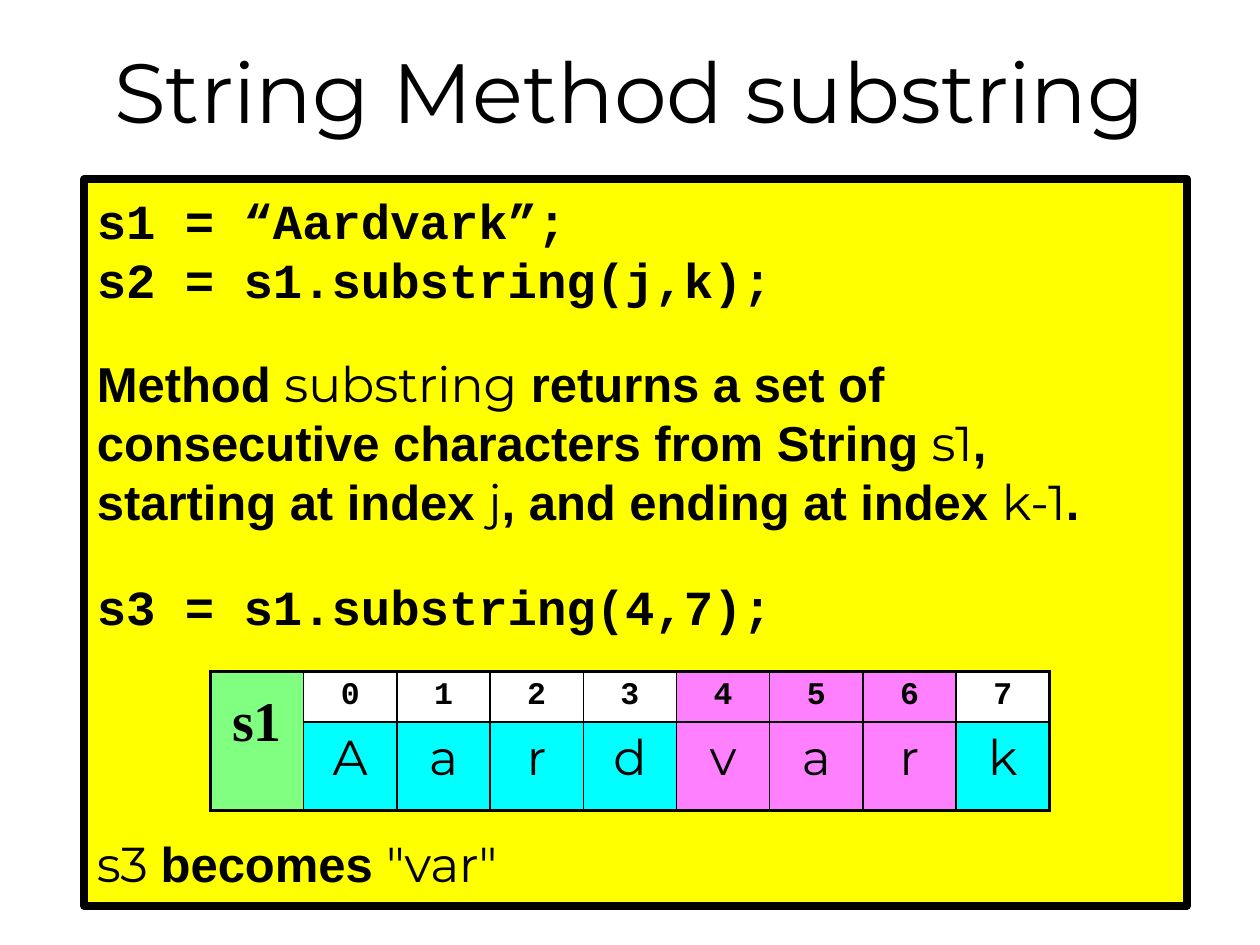
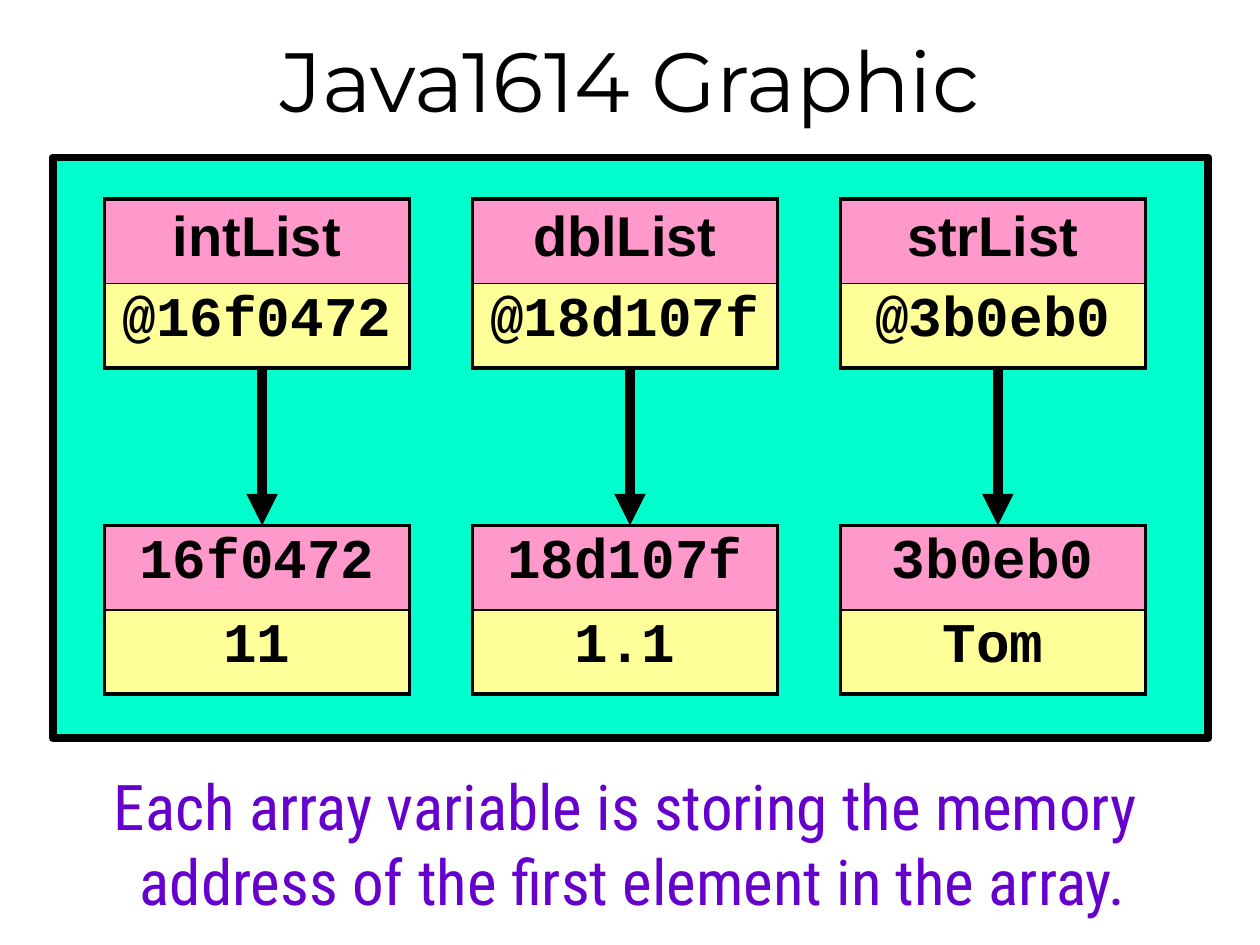
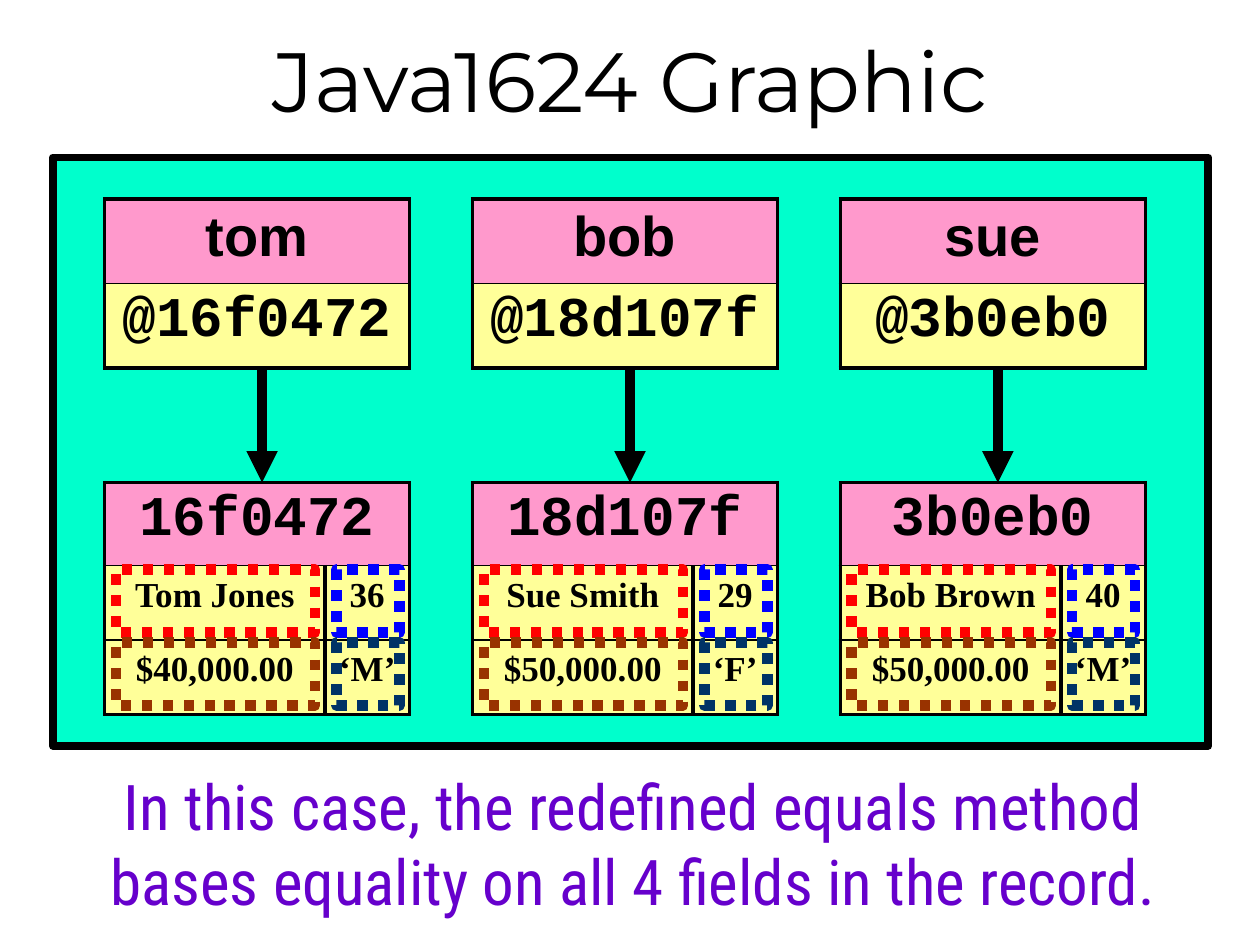
from dataclasses import dataclass

from lxml import etree
from pptx import Presentation
from pptx.dml.color import RGBColor
from pptx.enum import dml, shapes, text
from pptx.oxml.ns import qn
from pptx.util import Inches, Pt


@dataclass(frozen=True)
class Style:
    font: str
    size: float
    bold: bool = False
    spacing: float = 1.0


class Theme:
    black, white = "000000", "FFFFFF"
    yellow, green, cyan, magenta = "FFFF00", "80FF80", "00FFFF", "FF80FF"
    panel, header, value = "00FFCC", "FF99CC", "FFFF99"
    caption_top, caption_end, caption_edge = "6600CC", "CC00CC", "CC99FF"
    name_mark, age_mark, pay_mark, gender_mark = "FF0000", "0000FF", "993300", "003366"

    title = Style("Montserrat", 48)
    code = Style("Courier New", 28, True)
    prose = Style("Arial", 28, True)
    term = Style("Montserrat", 28)
    string_name = Style("Times New Roman", 32, True)
    index = Style("Courier New", 18, True)
    variable = Style("Arial", 32, True)
    address = Style("Courier New", 32, True)
    field = Style("Times New Roman", 20, True, 1.1)
    caption = Style("Roboto Condensed", 36)

    thin, outer, frame, heavy = 1, 2.25, 4.5, 6


COLUMN_LEFT, COLUMN_STEP, COLUMN_WIDTH = 0.83, 2.92, 2.42
ADDRESSES = ["16f0472", "18d107f", "3b0eb0"]


def rgb(value):
    return RGBColor.from_string(value)


def inches(*lengths):
    return [Inches(length) for length in lengths]


def add_run(para, words, style):
    span = para.add_run()
    span.text = words
    span.font.name = style.font
    span.font.size = Pt(style.size)
    span.font.bold = style.bold
    span.font.color.rgb = rgb(Theme.black)
    return span


def add_page(deck, title, height):
    page = deck.slides.add_slide(deck.slide_layouts[5])
    box = page.shapes.title
    box.left, box.top, box.width, box.height = inches(0, 0, 10, height)
    frame = box.text_frame
    frame.auto_size = text.MSO_AUTO_SIZE.NONE
    frame.vertical_anchor = text.MSO_ANCHOR.MIDDLE
    para = frame.paragraphs[0]
    para.alignment = text.PP_ALIGN.CENTER
    add_run(para, title, Theme.title)
    return page


def add_rectangle(page, place, fill, line, width):
    box = page.shapes.add_shape(shapes.MSO_SHAPE.RECTANGLE, *inches(*place))
    box.shadow.inherit = False
    if fill:
        box.fill.solid()
        box.fill.fore_color.rgb = rgb(fill)
    else:
        box.fill.background()
    box.line.color.rgb = rgb(line)
    box.line.width = Pt(width)
    return box


def add_dotted_mark(page, place, color):
    mark = add_rectangle(page, place, None, color, Theme.heavy)
    mark.line.dash_style = dml.MSO_LINE.ROUND_DOT


def add_arrow(page, x, top, bottom):
    arrow = page.shapes.add_connector(
        shapes.MSO_CONNECTOR.STRAIGHT, *inches(x, top, x, bottom))
    arrow.line.color.rgb = rgb(Theme.black)
    arrow.line.width = Pt(Theme.heavy)
    line = arrow.line._get_or_add_ln()
    etree.SubElement(line, qn("a:tailEnd"), type="triangle")
    etree.SubElement(arrow._element.spPr, qn("a:effectLst"))


def set_borders(cell, widths):
    """Draw the cell's left, right, top and bottom lines, widths in points."""
    properties = cell._tc.get_or_add_tcPr()
    for side, width in zip("LRTB", widths):
        line = etree.SubElement(properties, qn(f"a:ln{side}"), w=str(Pt(width)))
        fill = etree.SubElement(line, qn("a:solidFill"))
        etree.SubElement(fill, qn("a:srgbClr"), val=Theme.black)


def fill_cell(cell, words, style, color):
    cell.fill.solid()
    cell.fill.fore_color.rgb = rgb(color)
    para = cell.text_frame.paragraphs[0]
    para.alignment = text.PP_ALIGN.CENTER
    if style.spacing != 1:
        para.line_spacing = style.spacing
    add_run(para, words, style)


def add_grid(page, left, top, widths, heights, rows, merge_to=None,
             divider=Theme.thin):
    """Add a table of (words, style, fill) cells; None is a cell merged away.

    merge_to is the row and column that the first cell reaches.
    """
    grid = page.shapes.add_table(
        len(heights), len(widths),
        *inches(left, top, sum(widths), sum(heights))).table
    grid.first_row = grid.horz_banding = False
    for column, width in zip(grid.columns, widths):
        column.width = Inches(width)
    for row, height in zip(grid.rows, heights):
        row.height = Inches(height)
    if merge_to:
        grid.cell(0, 0).merge(grid.cell(*merge_to))
    for r, row in enumerate(rows):
        for c, content in enumerate(row):
            if content is None:
                continue
            cell = grid.cell(r, c)
            last_column = c + cell.span_width == len(widths)
            last_row = r + cell.span_height == len(heights)
            set_borders(cell, [
                Theme.outer if c == 0 else divider,
                Theme.outer if last_column else divider,
                Theme.outer if r == 0 else Theme.thin,
                Theme.outer if last_row else Theme.thin])
            fill_cell(cell, *content)
    return grid


def add_caption(page, lines):
    box = page.shapes.add_textbox(*inches(0.38, 6, 9.29, 1.42))
    frame = box.text_frame
    frame.word_wrap = False
    frame.margin_top = Inches(0.09)
    for number, words in enumerate(lines):
        para = frame.add_paragraph() if number else frame.paragraphs[0]
        para.alignment = text.PP_ALIGN.CENTER
        span = add_run(para, words, Theme.caption)
        fill = span.font.fill
        fill.gradient()
        fill.gradient_angle = 270
        for stop, color in zip(fill.gradient_stops,
                               [Theme.caption_top, Theme.caption_end]):
            stop.color.rgb = rgb(color)
        outline = etree.Element(qn("a:ln"), w=str(Pt(0.75)))
        edge = etree.SubElement(outline, qn("a:solidFill"))
        etree.SubElement(edge, qn("a:srgbClr"), val=Theme.caption_edge)
        span.font._element.insert(0, outline)


def add_explanation(page):
    code, prose, term = Theme.code, Theme.prose, Theme.term
    paragraphs = [
        (0, [("s1 = “Aardvark”;", code)]),
        (0, [("s2 = s1.substring(j,k);", code)]),
        (26, [("Method ", prose), ("substring", term),
              (" returns a set of consecutive characters from String ", prose),
              ("s1", term), (", starting at index ", prose), ("j", term),
              (", and ending at index ", prose), ("k-1", term), (".", prose)]),
        (26, [("s3 = s1.substring(4,7);", code)]),
        (113, [("s3 ", term), ("becomes ", prose), ('"var"', term)]),
    ]
    box = add_rectangle(page, (0.67, 1.42, 8.75, 5.77), Theme.yellow,
                        Theme.black, Theme.frame)
    frame = box.text_frame
    frame.word_wrap = True
    frame.vertical_anchor = text.MSO_ANCHOR.TOP
    frame.margin_top = Inches(0.09)
    for number, (gap, spans) in enumerate(paragraphs):
        para = frame.add_paragraph() if number else frame.paragraphs[0]
        para.alignment = text.PP_ALIGN.LEFT
        para.line_spacing = Pt(33.7)
        if gap:
            para.space_before = Pt(gap)
        for words, style in spans:
            add_run(para, words, style)


def add_string_table(page, word, chosen):
    """Show the letters under their indexes, with the chosen ones marked."""
    indexes = [("s1", Theme.string_name, Theme.green)]
    letters = [None]
    for i, letter in enumerate(word):
        marked = Theme.magenta if i in chosen else None
        indexes.append((str(i), Theme.index, marked or Theme.white))
        letters.append((letter, Theme.term, marked or Theme.cyan))
    grid = add_grid(page, 1.67, 5.33, [0.74] * len(indexes), [0.4, 0.57],
                    [indexes, letters], merge_to=(1, 0))
    grid.cell(0, 0).margin_top = Inches(0.16)


def add_pair(page, left, top, head, head_style, content):
    add_grid(page, left, top, [COLUMN_WIDTH], [0.67, 0.67],
             [[(head, head_style, Theme.header)],
              [(content, Theme.address, Theme.value)]])


def add_record(page, left, top, address, fields):
    name, age, pay, gender = [(words, Theme.field, Theme.value) for words in fields]
    add_grid(page, left, top, [1.75, 0.67], [0.66, 0.59, 0.59],
             [[(address, Theme.address, Theme.header), None],
              [name, age], [pay, gender]],
             merge_to=(0, 1), divider=Theme.outer)
    marks = [[Theme.name_mark, Theme.age_mark], [Theme.pay_mark, Theme.gender_mark]]
    for y, colors in zip([4.52, 5.1], marks):
        for x, width, color in zip([0.09, 1.84], [1.58, 0.5], colors):
            add_dotted_mark(page, (left + x, y, width, 0.5), color)


def add_memory_page(deck, title, panel_height, variables, target_top,
                    add_target, targets, caption):
    """Show variables whose arrows lead to what add_target draws below them."""
    page = add_page(deck, title, 1.25)
    add_rectangle(page, (0.42, 1.25, 9.17, panel_height), Theme.panel,
                  Theme.black, Theme.frame)
    for i, (variable, address, target) in enumerate(
            zip(variables, ADDRESSES, targets)):
        left = COLUMN_LEFT + i * COLUMN_STEP
        add_pair(page, left, 1.58, variable, Theme.variable, "@" + address)
        add_target(page, left, target_top, address, target)
        add_arrow(page, left + 1.25, 2.92, target_top)
    add_caption(page, caption)


def add_element(page, left, top, address, value):
    add_pair(page, left, top, address, Theme.address, value)


def main():
    deck = Presentation()
    deck.slide_width, deck.slide_height = inches(10, 7.5)

    page = add_page(deck, "String Method substring", 1.42)
    add_explanation(page)
    add_string_table(page, "Aardvark", range(4, 7))

    add_memory_page(
        deck, "Java1614 Graphic", 4.61, ["intList", "dblList", "strList"],
        4.17, add_element, ["11", "1.1", "Tom"],
        ["Each array variable is storing the memory ",
         "address of the first element in the array."])

    add_memory_page(
        deck, "Java1624 Graphic", 4.67, ["tom", "bob", "sue"],
        3.83, add_record,
        [("Tom Jones", "36", "$40,000.00", "‘M’"),
         ("Sue Smith", "29", "$50,000.00", "‘F’"),
         ("Bob Brown", "40", "$50,000.00", "‘M’")],
        ["In this case, the redefined equals method",
         "bases equality on all 4 fields in the record."])

    deck.save("out.pptx")


if __name__ == "__main__":
    main()
